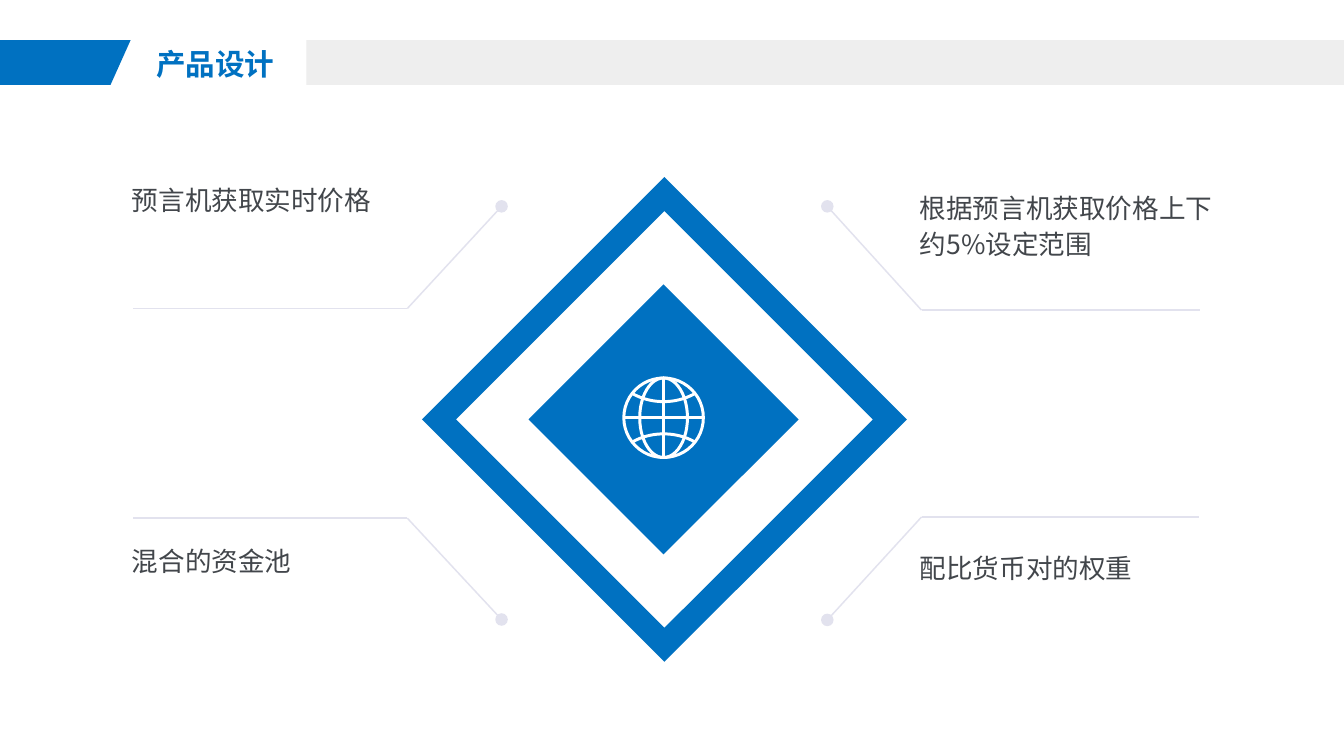
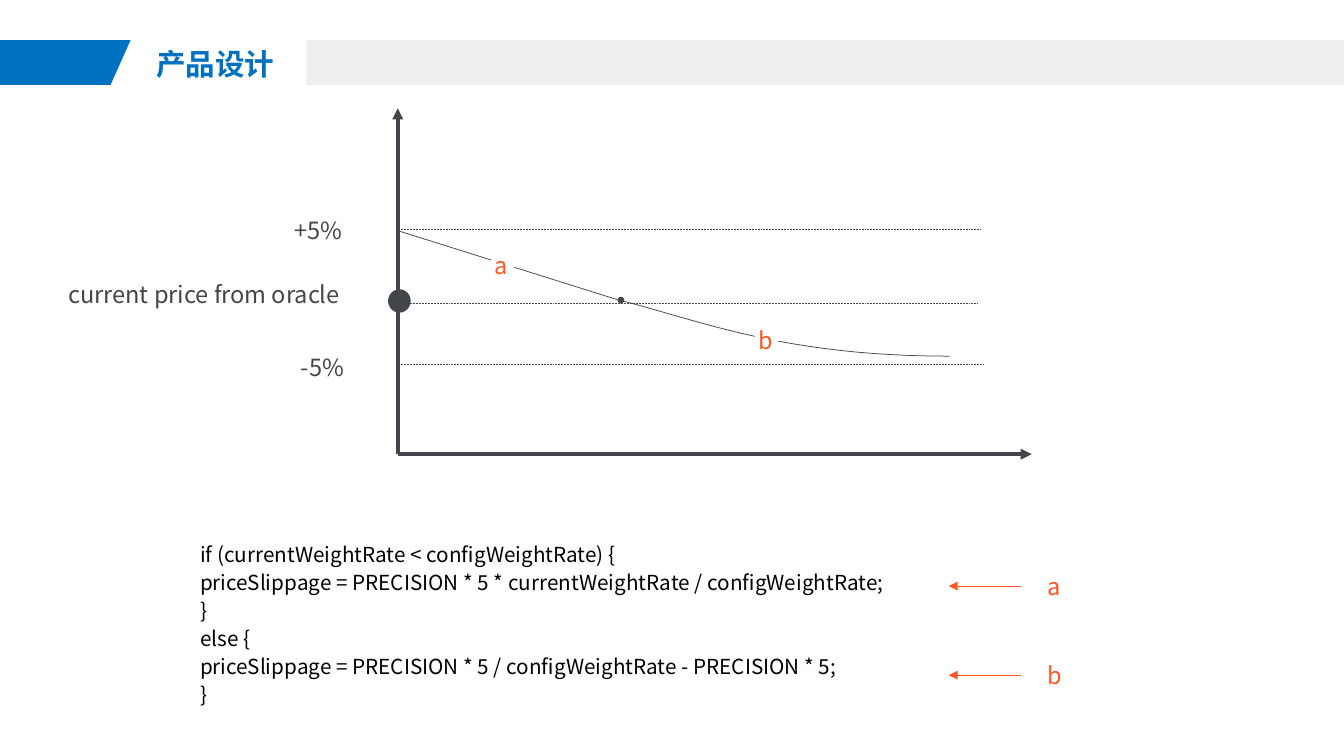
from pptx import Presentation
from pptx.dml.color import RGBColor
from pptx.enum.dml import MSO_LINE
from pptx.enum.shapes import MSO_CONNECTOR, MSO_SHAPE
from pptx.enum.text import MSO_ANCHOR, MSO_AUTO_SIZE, PP_ALIGN
from pptx.oxml.xmlchemy import OxmlElement
from pptx.util import Cm, Pt

STRAIGHT = MSO_CONNECTOR.STRAIGHT
RECTANGLE, OVAL = MSO_SHAPE.RECTANGLE, MSO_SHAPE.OVAL
DIAMOND, FRAME = MSO_SHAPE.DIAMOND, MSO_SHAPE.FRAME
LEFT, CENTER = PP_ALIGN.LEFT, PP_ALIGN.CENTER
TOP, NO_FIT = MSO_ANCHOR.TOP, MSO_AUTO_SIZE.NONE
DOTTED = MSO_LINE.ROUND_DOT
TITLE_ONLY = 5

COLORS = {"blue": "0071C1", "band": "EEEEEE", "pale": "E2E2EE", "ink": "42464B",
          "orange": "FF5722", "white": "FFFFFF", "black": "000000"}
FONT = "Noto Sans CJK SC"
PAGE_WIDTH, PAGE_HEIGHT = 32.1, 18.06
TITLE = "产品设计"

CODE = [
    "if (currentWeightRate < configWeightRate) {",
    "priceSlippage = PRECISION * 5 * currentWeightRate / configWeightRate;",
    "}",
    "else {",
    "priceSlippage = PRECISION * 5 / configWeightRate - PRECISION * 5;",
    "}",
]


def rgb(name):
    return RGBColor.from_string(COLORS[name])


def lengths(*values):
    return [Cm(value) for value in values]


# Text
def write(frame, text, size=18, color="ink", bold=False, align=LEFT):
    frame.word_wrap = True
    frame.auto_size = NO_FIT
    frame.vertical_anchor = TOP
    frame.margin_left = frame.margin_right = Cm(0.08)
    frame.margin_top = frame.margin_bottom = Cm(0.03)
    lines = [text] if isinstance(text, str) else text
    for index, line in enumerate(lines):
        para = frame.paragraphs[0] if index == 0 else frame.add_paragraph()
        para.alignment = align
        para.line_spacing = 1.13
        span = para.add_run()
        span.text = line
        span.font.size = Pt(size)
        span.font.bold = bold
        span.font.color.rgb = rgb(color)
        span.font.name = FONT
        east_asian = OxmlElement("a:ea")
        east_asian.set("typeface", FONT)
        span._r.get_or_add_rPr().append(east_asian)


def add_text(page, box, text, **text_format):
    write(page.shapes.add_textbox(*lengths(*box)).text_frame, text, **text_format)


# Shapes and lines
def paint(shape, fill=None, line=None, width=1):
    shape.shadow.inherit = False
    if fill:
        shape.fill.solid()
        shape.fill.fore_color.rgb = rgb(fill)
    else:
        shape.fill.background()
    if line:
        shape.line.color.rgb = rgb(line)
        shape.line.width = Pt(width)
    else:
        shape.line.fill.background()


def add_shape(page, kind, box, **style):
    shape = page.shapes.add_shape(kind, *lengths(*box))
    paint(shape, **style)
    return shape


def add_oval(page, center, radius_x, radius_y, **style):
    x, y = center
    box = (x - radius_x, y - radius_y, 2 * radius_x, 2 * radius_y)
    add_shape(page, OVAL, box, **style)


def add_outline(page, points, closed=True, **style):
    start, *others = [lengths(*point) for point in points]
    builder = page.shapes.build_freeform(*start)
    builder.add_line_segments(others, close=closed)
    paint(builder.convert_to_shape(), **style)


def add_curve(page, controls, steps=24, **style):
    """Draw a cubic curve through four control points."""
    points = []
    for step in range(steps + 1):
        t = step / steps
        weights = ((1 - t) ** 3, 3 * t * (1 - t) ** 2, 3 * t * t * (1 - t), t ** 3)
        points.append([sum(weight * control[axis] for weight, control in zip(weights, controls))
                       for axis in (0, 1)])
    add_outline(page, points, closed=False, **style)


def add_line(page, start, end, color, width, dash=None, arrow=False):
    line = page.shapes.add_connector(STRAIGHT, *lengths(*start, *end))
    line.line.color.rgb = rgb(color)
    line.line.width = Pt(width)
    if dash:
        line.line.dash_style = dash
    if arrow:
        tail = OxmlElement("a:tailEnd")
        tail.set("type", "triangle")
        line.line._get_or_add_ln().append(tail)
    line._element.spPr.append(OxmlElement("a:effectLst"))


# Header shared by both slides
def new_page(deck):
    page = deck.slides.add_slide(deck.slide_layouts[TITLE_ONLY])
    top, height = 0.96, 1.07
    bottom = top + height
    add_outline(page, [(0, top), (3.12, top), (2.64, bottom), (0, bottom)], fill="blue")
    add_shape(page, RECTANGLE, (7.32, top, PAGE_WIDTH - 7.32, height), fill="band")
    title = page.shapes.title
    title.left, title.top, title.width, title.height = lengths(3.35, top, 3.58, height)
    write(title.text_frame, TITLE, size=20, color="blue", bold=True, align=CENTER)
    return page


# Slide 1: diamond with four callouts
def add_globe(page, box):
    left, top, width, height = box
    x, y = left + width / 2, top + height / 2
    radius = width / 2
    stroke = {"line": "white", "width": 2}
    add_oval(page, (x, y), radius, radius, **stroke)
    add_oval(page, (x, y), 0.6 * radius, radius, **stroke)
    add_line(page, (x - radius, y), (x + radius, y), "white", 2)
    add_line(page, (x, y - radius), (x, y + radius), "white", 2)
    for side in (-1, 1):
        edge, middle = y + side * 0.6 * radius, y + side * 0.34 * radius
        add_curve(page, [(x - 0.77 * radius, edge), (x - 0.3 * radius, middle),
                         (x + 0.3 * radius, middle), (x + 0.77 * radius, edge)], **stroke)


def add_emblem(page, box):
    left, top, size, _ = box
    center_x, center_y = left + size / 2, top + size / 2
    side = size / 2 ** 0.5
    frame = add_shape(page, FRAME, (center_x - side / 2, center_y - side / 2, side, side),
                      fill="blue")
    frame.adjustments[0] = 0.07
    frame.rotation = 315
    core, globe = 6.45, 1.9
    add_shape(page, DIAMOND, (center_x - core / 2 - 0.02, center_y - core / 2, core, core),
              fill="blue")
    add_globe(page, (center_x - globe / 2 - 0.02, center_y - globe / 2 - 0.04, globe, globe))


def add_callout(page, box, text, on_right, on_top, text_top):
    left, top, width, height = box
    right, bottom = left + width, top + height
    reach = 2.25
    dot_x, end_x, elbow_x = ((left, right, left + reach) if on_right
                             else (right, left, right - reach))
    dot_y, line_y = (top, bottom) if on_top else (bottom, top)
    add_oval(page, (dot_x, dot_y), 0.15, 0.15, fill="pale")
    add_line(page, (dot_x, dot_y), (elbow_x, line_y), "pale", 1)
    add_line(page, (elbow_x, line_y), (end_x, line_y), "pale", 1)
    text_left = left + 2.13 if on_right else left - 0.11
    add_text(page, (text_left, top + text_top, 7.77, 0.97), text)


def build_overview(deck):
    page = new_page(deck)
    add_emblem(page, (10.08, 4.23, 11.58, 11.58))
    callouts = [
        ((3.18, 4.93, 8.8, 2.44), "预言机获取实时价格", False, True, -0.66),
        ((3.18, 12.38, 8.8, 2.42), "混合的资金池", False, False, 0.5),
        ((19.76, 4.93, 8.89, 2.48), "根据预言机获取价格上下约5%设定范围", True, True, -0.48),
        ((19.76, 12.35, 8.87, 2.46), "配比货币对的权重", True, False, 0.71),
    ]
    for callout in callouts:
        add_callout(page, *callout)


# Slide 2: price curve and its code
def add_letter(page, left, top, letter):
    shape = add_shape(page, RECTANGLE, (left, top, 0.56, 0.84), fill="white")
    write(shape.text_frame, letter, size=16, color="orange")


def add_price_plot(page, box):
    left, top, width, height = box
    bottom = top + height
    # Axes
    add_line(page, (left, bottom), (left + width, bottom), "ink", 2.5, arrow=True)
    add_line(page, (left, bottom), (left, top), "ink", 2.5, arrow=True)
    # Price levels: label, label left, label width, label top, line offset, line length
    levels = [
        ("+5%", -2.54, 1.42, 2.46, 2.9, 13.92),
        ("current price from oracle", -7.95, 7.06, 3.99, 4.65, 13.84),
        ("-5%", -2.39, 1.24, 5.72, 6.12, 14),
    ]
    for label, label_left, label_width, label_top, offset, length in levels:
        add_line(page, (left, top + offset), (left + length, top + offset), "ink", 0.5, dash=DOTTED)
        add_text(page, (left + label_left, top + label_top, label_width, 0.84), label, size=16)
    # Curve: straight part a, bent part b
    add_line(page, (left, top + 2.92), (left + 5.25, top + 4.57), "ink", 0.5)
    bend = [(5.26, 4.57), (7.26, 5.08), (9.22, 5.92), (13.18, 5.92)]
    add_curve(page, [(left + x, top + y) for x, y in bend], line="ink", width=0.5)
    add_oval(page, (left + 0.04, top + 4.6), 0.27, 0.28, fill="ink")
    add_oval(page, (left + 5.33, top + 4.58), 0.08, 0.08, fill="ink")
    add_letter(page, left + 2.23, top + 3.28, "a")
    add_letter(page, left + 8.53, top + 5.08, "b")


def add_code(page, box):
    left, top, width, _ = box
    add_text(page, box, CODE, size=14, color="black")
    for letter, offset in (("a", 1.17), ("b", 3.3)):
        y = top + offset
        add_line(page, (left + width + 2.38, y), (left + width + 0.66, y),
                 "orange", 0.5, arrow=True)
        add_letter(page, left + width + 2.94, y - 0.45, letter)


def build_price_curve(deck):
    page = new_page(deck)
    add_price_plot(page, (9.5, 2.59, 15.14, 8.26))
    add_code(page, (4.7, 12.83, 17.3, 4.29))


def main():
    deck = Presentation()
    deck.slide_width, deck.slide_height = lengths(PAGE_WIDTH, PAGE_HEIGHT)
    build_overview(deck)
    build_price_curve(deck)
    deck.save("out.pptx")


if __name__ == "__main__":
    main()
